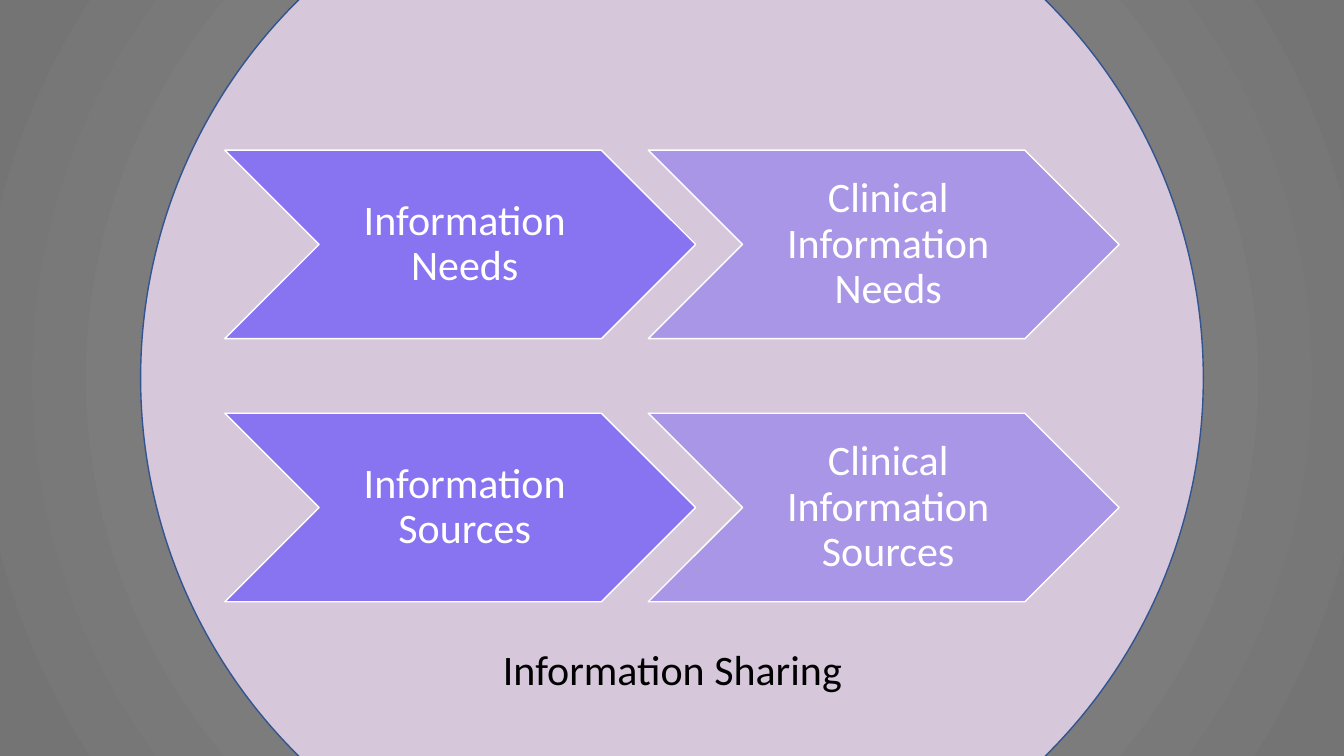
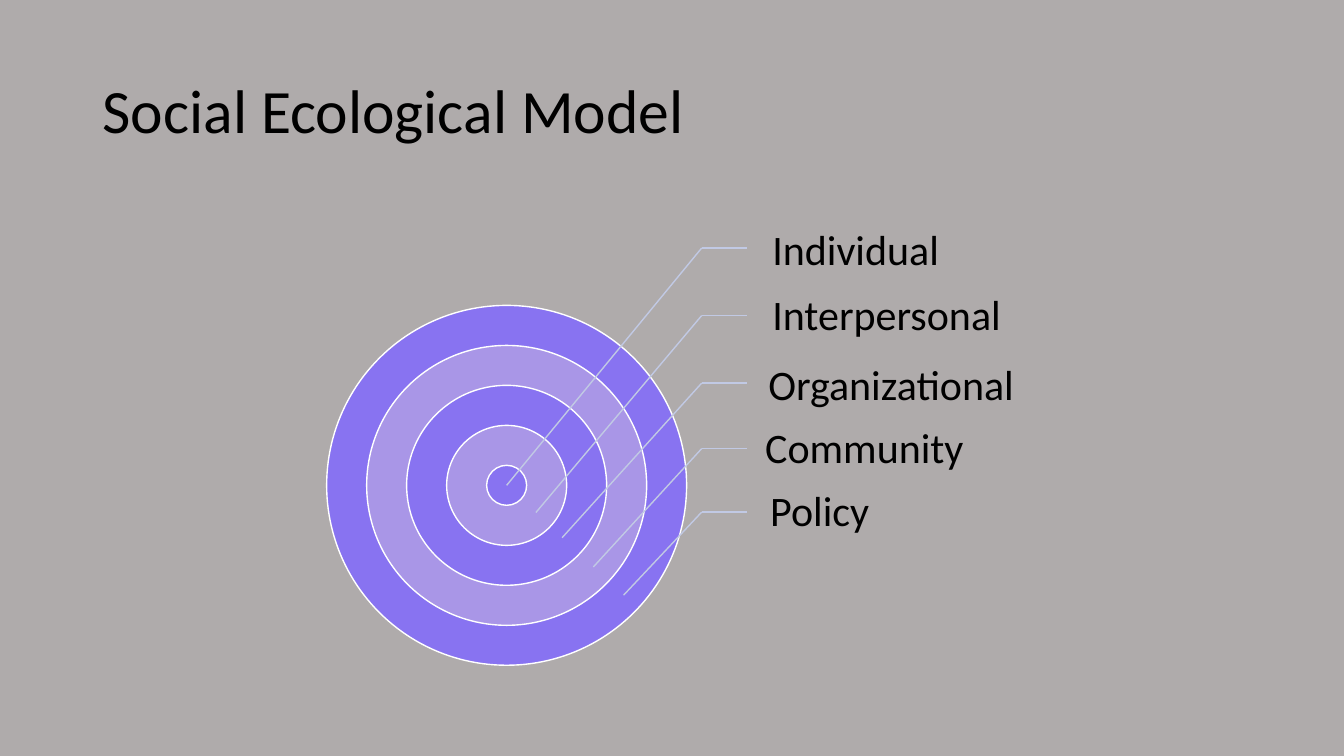
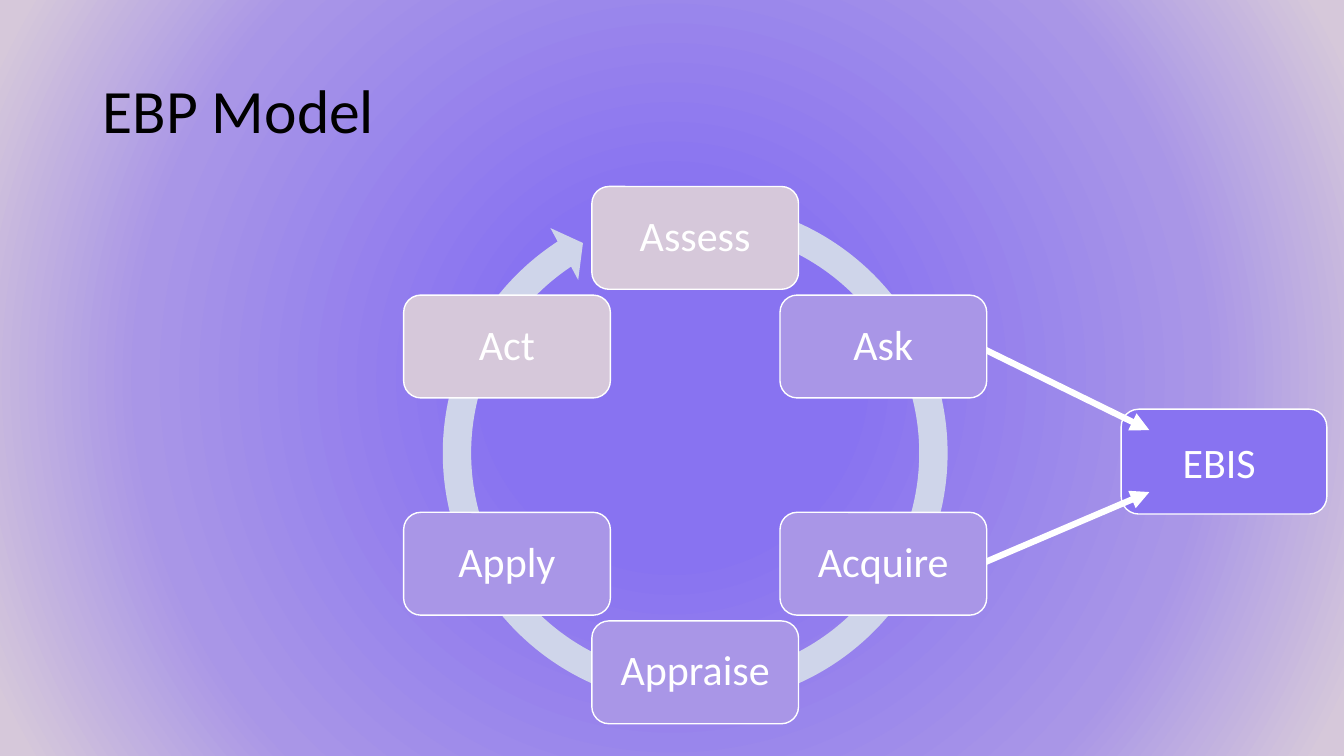
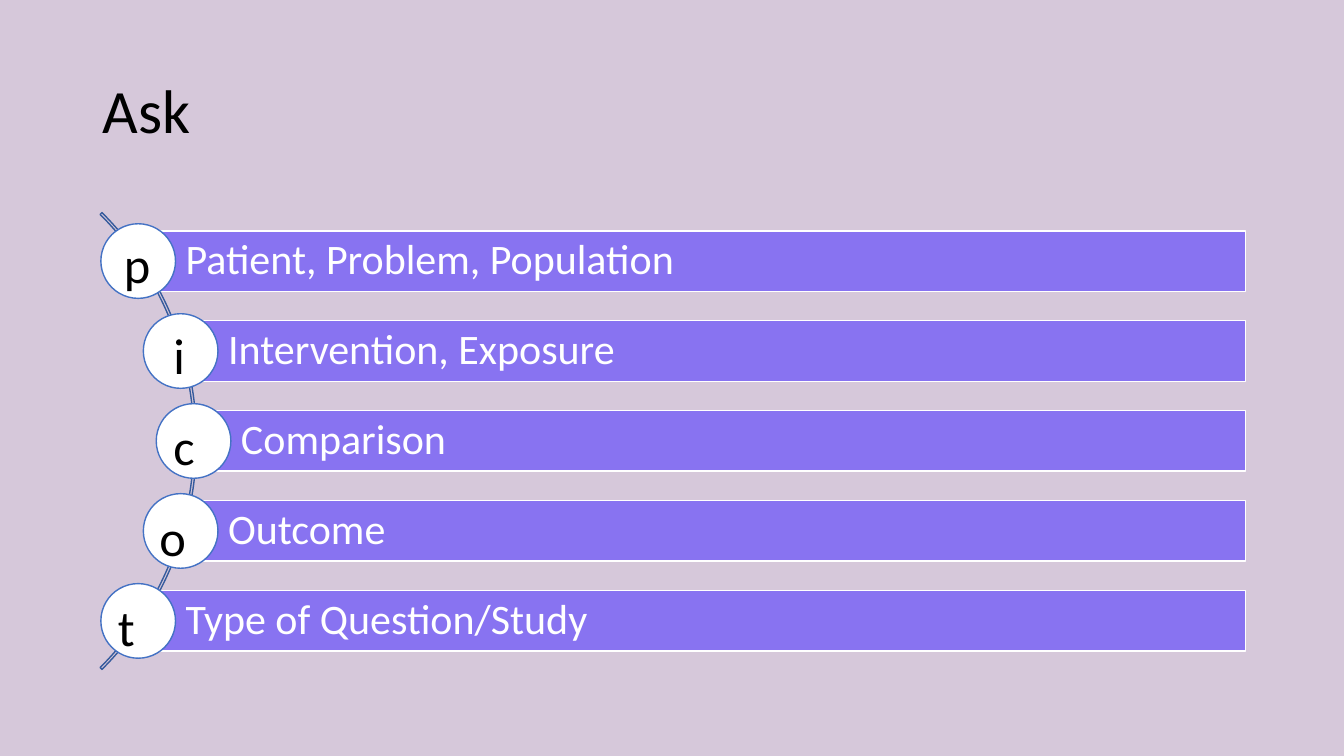
import math

import pptx
import pptx.dml.color
import pptx.enum.shapes
import pptx.enum.text
import pptx.oxml
import pptx.oxml.ns
import pptx.util

SHAPE = pptx.enum.shapes.MSO_SHAPE
ALIGN = pptx.enum.text.PP_ALIGN
MIDDLE = pptx.enum.text.MSO_ANCHOR.MIDDLE
TOP = pptx.enum.text.MSO_ANCHOR.TOP
qn = pptx.oxml.ns.qn
inch = pptx.util.Inches

W, H = 13.33, 7.5
FONT = "Calibri"
BODY, LETTER, TITLE = 30, 36, 44
INSETS = (0.1, 0.05, 0.1, 0.05)
C = {
    "violet": "8873F1", "lilac": "A996E7", "mauve": "D6C8DA",
    "white": "FFFFFF", "black": "000000", "stone": "AFABAB",
    "grey_light": "939393", "grey_mid": "7C7C7C", "grey_dark": "747474",
    "navy": "325491", "arc": "365B9D", "blue": "4472C4",
    "leader": "C1C9E4", "cycle": "CFD5EA",
}

prs = pptx.Presentation()
prs.slide_width, prs.slide_height = inch(W), inch(H)


def rgb(name):
    return pptx.dml.color.RGBColor.from_string(C[name])


# Shared slide parts
def new_slide(*colours):
    """One colour gives a plain background, three give a radial one."""
    s = prs.slides.add_slide(prs.slide_layouts[6])
    fill = s.background.fill
    if len(colours) == 1:
        fill.solid()
        fill.fore_color.rgb = rgb(colours[0])
        return s
    inner, middle, outer = colours
    stops = "".join(
        f'<a:gs pos="{pos * 1000}"><a:srgbClr val="{C[name]}"/></a:gs>'
        for pos, name in ((0, inner), (23, inner), (69, middle), (97, outer)))
    fill.gradient()
    old = s.element.find(".//" + qn("a:gradFill"))
    old.getparent().replace(old, pptx.oxml.parse_xml(
        f'<a:gradFill {pptx.oxml.ns.nsdecls("a")} rotWithShape="1"><a:gsLst>{stops}</a:gsLst>'
        '<a:path path="circle"><a:fillToRect l="50000" t="50000" r="50000" b="50000"/>'
        '</a:path></a:gradFill>'))
    return s


def write(sp, text, colour, size=BODY, align=ALIGN.LEFT, anchor=MIDDLE,
          insets=INSETS, spacing=0.9):
    tf = sp.text_frame
    tf.word_wrap = True
    tf.vertical_anchor = anchor
    tf.margin_left, tf.margin_top, tf.margin_right, tf.margin_bottom = map(inch, insets)
    p = tf.paragraphs[0]
    p.alignment, p.line_spacing = align, spacing
    r = p.add_run()
    r.text = text
    r.font.name, r.font.size = FONT, pptx.util.Pt(size)
    r.font.color.rgb = rgb(colour)


def add_text(s, box, text, colour="black", **style):
    write(s.shapes.add_textbox(*map(inch, box)), text, colour, **style)


def add_shape(s, kind, box, fill=None, line="white", adjust=()):
    sp = s.shapes.add_shape(kind, *map(inch, box))
    sp.shadow.inherit = False
    for i, value in enumerate(adjust):
        sp.adjustments[i] = value
    if fill:
        sp.fill.solid()
        sp.fill.fore_color.rgb = rgb(fill)
    else:
        sp.fill.background()
    if line:
        sp.line.color.rgb = rgb(line)
        sp.line.width = pptx.util.Pt(1)
    else:
        sp.line.fill.background()
    return sp


def add_line(s, start, end, colour, width=1, arrow=False):
    cn = s.shapes.add_connector(pptx.enum.shapes.MSO_CONNECTOR.STRAIGHT,
                                *map(inch, (*start, *end)))
    cn.line.color.rgb = rgb(colour)
    cn.line.width = pptx.util.Pt(width)
    spPr = cn.element.spPr
    if arrow:
        tail = pptx.oxml.parse_xml(f'<a:tailEnd {pptx.oxml.ns.nsdecls("a")} type="triangle"/>')
        spPr.find(qn("a:ln")).append(tail)
    spPr.append(pptx.oxml.parse_xml(f'<a:effectLst {pptx.oxml.ns.nsdecls("a")}/>'))


def add_title(s, text):
    add_text(s, (0.92, 0.4, 11.5, 1.45), text, size=TITLE)


def centred(cx, cy, w, h):
    return cx - w / 2, cy - h / 2, w, h


# Slide 1: chevrons
def chevron_grid(s, box, rows):
    x, y, w, h = box
    cw, ch = 4.67, 1.87
    for i, row in enumerate(rows):
        for j, (text, fill) in enumerate(zip(row, ("violet", "lilac"))):
            sp = add_shape(s, SHAPE.CHEVRON,
                           (x + j * (w - cw), y + i * (h - ch), cw, ch), fill)
            write(sp, text, "white", align=ALIGN.CENTER, insets=(0.13, 0.04, 0.04, 0.04))


# Slide 2: concentric rings with leaders
def target(s, box, levels):
    x, y, d, _ = box
    cx, cy = x + d / 2, y + d / 2
    count = len(levels)
    for i in range(count):
        size = d * (1 - 2 * i / (2 * count - 1))
        add_shape(s, SHAPE.OVAL, centred(cx, cy, size, size), ("violet", "lilac")[i % 2])
    elbow = x + d + 0.15
    for text, label, elbow_y, (dx, dy) in levels:
        add_text(s, (*label, 3.2, 0.63), text, insets=(0.23, 0.04, 0.04, 0.04))
        add_line(s, (elbow, elbow_y), (elbow + 0.45, elbow_y), "leader")
        add_line(s, (elbow, elbow_y), (cx + dx, cy + dy), "leader")


# Slide 3: cycle of steps
def cycle(s, box, steps):
    x, y, d, _ = box
    add_shape(s, SHAPE.CIRCULAR_ARROW, box, "cycle", None,
              (0.053, 3.126, 142.013, 171.428, 0.055))
    cx, cy, radius = x + d / 2, y + d / 2 + 0.02, 2.155
    for i, (text, fill) in enumerate(steps):
        a = 2 * math.pi * i / len(steps)
        sp = add_shape(s, SHAPE.ROUNDED_RECTANGLE,
                       centred(cx + radius * math.sin(a), cy - radius * math.cos(a),
                               2.05, 1.02), fill)
        write(sp, text, "white", align=ALIGN.CENTER, insets=(0.12,) * 4)


def outcome_box(s, box, text, sources):
    x, y, w, h = box
    add_shape(s, SHAPE.ROUNDED_RECTANGLE, box, "violet")
    for start, share in sources:
        add_line(s, start, (x + 0.28, y + h * share), "white", 4.5, arrow=True)
    add_text(s, (x + 0.51, y + 0.22, w / 2, 0.61), text, "white", anchor=TOP, spacing=1)


# Slide 4: bars hung on an arc
def arc_list(s, box, rows):
    x, y, w, h = box
    d, bar, dot, radius = 6.41, 0.6, 0.74, 3.175
    cx, cy = x - 2.245, y + h / 2
    add_shape(s, SHAPE.BLOCK_ARC, centred(cx, cy, d, d), None, "arc", (189, 27, 0.004))
    step = (h - dot) / (len(rows) - 1)
    for i, (letter, text, (dx, dy)) in enumerate(rows):
        row_y = y + dot / 2 + i * step
        row_x = cx + math.sqrt(radius ** 2 - (row_y - cy) ** 2)
        sp = add_shape(s, SHAPE.RECTANGLE,
                       (row_x, row_y - bar / 2, x + w - row_x, bar), "violet")
        write(sp, text, "white", insets=(0.47, 0.08, 0.08, 0.08))
        add_shape(s, SHAPE.OVAL, centred(row_x, row_y, dot, dot), "white", "blue")
        add_text(s, (row_x + dx, row_y + dy, 0.58, 0.71), letter, size=LETTER,
                 anchor=TOP, spacing=1)


s = new_slide("grey_light", "grey_mid", "grey_dark")
add_shape(s, SHAPE.OVAL, centred(W / 2, H / 2, 10.54, 10.54), "mauve", "navy")
chevron_grid(s, (2.23, 1.49, 8.87, 4.48), [
    ("Information Needs", "Clinical Information Needs"),
    ("Information Sources", "Clinical Information Sources"),
])
add_text(s, (3.38, 6.33, 6.58, 0.61), "Information Sharing", align=ALIGN.CENTER,
         anchor=TOP, spacing=1)

s = new_slide("stone")
add_title(s, "Social Ecological Model")
# Level, label corner, elbow height, leader end from the centre
target(s, (3.24, 3.03, 3.57, 3.57), [
    ("Individual", (7.43, 2.18), 2.46, (0, 0)),
    ("Interpersonal", (7.43, 2.83), 3.13, (0.29, 0.27)),
    ("Organizational", (7.39, 3.52), 3.8, (0.55, 0.52)),
    ("Community", (7.36, 4.15), 4.45, (0.86, 0.81)),
    ("Policy", (7.41, 4.77), 5.08, (1.16, 1.09)),
])

s = new_slide("violet", "lilac", "mauve")
outcome_box(s, (11.12, 4.06, 2.04, 1.04), "EBIS",
            [((9.67, 5.62), 0.79), ((9.67, 3.42), 0.2)])
cycle(s, (4.24, 1.84, 5.31, 5.31), [
    ("Assess", "mauve"), ("Ask", "lilac"), ("Acquire", "lilac"),
    ("Appraise", "lilac"), ("Apply", "lilac"), ("Act", "mauve"),
])
add_title(s, "EBP Model")

s = new_slide("mauve")
add_title(s, "Ask")
# Letter, meaning, letter corner from the dot centre
arc_list(s, (0.99, 2.22, 11.365, 4.31), [
    ("p", "Patient, Problem, Population", (-0.24, -0.33)),
    ("i", "Intervention, Exposure", (-0.17, -0.32)),
    ("c", "Comparison", (-0.3, -0.31)),
    ("o", "Outcome", (-0.31, -0.3)),
    ("t", "Type of Question/Study", (-0.3, -0.3)),
])

prs.save("out.pptx")
